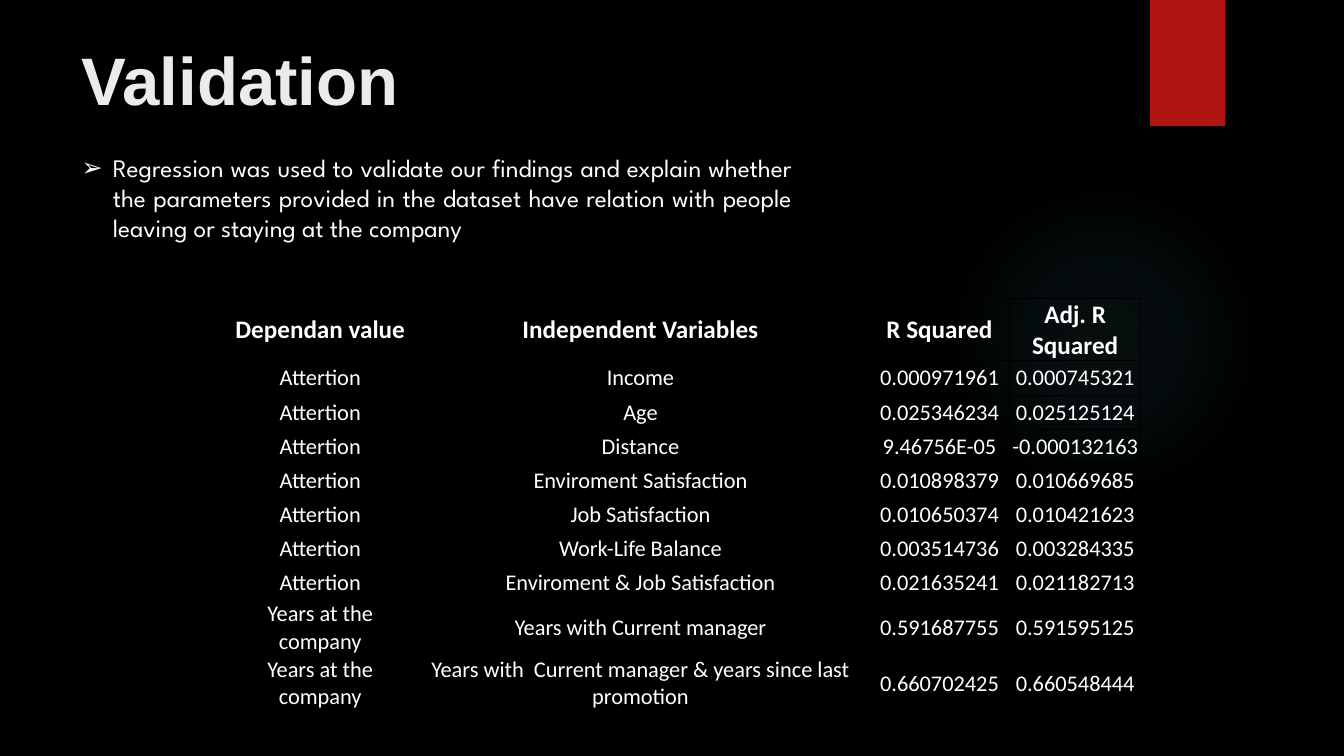
import pptx
import pptx.dml.color
import pptx.enum.shapes
import pptx.enum.text
import pptx.oxml
import pptx.oxml.ns
import pptx.util
from pptx.util import Cm

NAMESPACE = pptx.oxml.ns.nsdecls("a")
ALIGN = pptx.enum.text.PP_ALIGN
ANCHOR = pptx.enum.text.MSO_ANCHOR
SHAPE = pptx.enum.shapes.MSO_SHAPE

HEADINGS = ("Dependan value", "Independent Variables", "R Squared", "Adj. R Squared")
REGRESSIONS = (
    ("Attertion", "Income", "0.000971961", "0.000745321"),
    ("Attertion", "Age", "0.025346234", "0.025125124"),
    ("Attertion", "Distance", "9.46756E-05", "-0.000132163"),
    ("Attertion", "Enviroment Satisfaction", "0.010898379", "0.010669685"),
    ("Attertion", "Job Satisfaction", "0.010650374", "0.010421623"),
    ("Attertion", "Work-Life Balance", "0.003514736", "0.003284335"),
    ("Attertion", "Enviroment & Job Satisfaction", "0.021635241", "0.021182713"),
    ("Years at the company", "Years with Current manager", "0.591687755", "0.591595125"),
    ("Years at the company", "Years with  Current manager & years since last promotion",
     "0.660702425", "0.660548444"),
)
COLUMN_SHARES = (1.81, 4.54, 1.39, 1.3)


def color(hex_text):
    """Turn a hex string into a colour."""
    return pptx.dml.color.RGBColor.from_string(hex_text)


def place(shape, box):
    """Move a shape into a left, top, width, height box."""
    shape.left, shape.top, shape.width, shape.height = box


def add_span(para, text, font, size, hex_text, bold=False):
    """Append one formatted run to a paragraph."""
    span = para.add_run()
    span.text = text
    span.font.name = font
    span.font.size = pptx.util.Pt(size)
    span.font.bold = bold
    span.font.color.rgb = color(hex_text)


def add_glow(page, box):
    """Draw the faint round glow."""
    glow = page.shapes.add_shape(SHAPE.OVAL, *box)
    glow.shadow.inherit = False
    glow.line.fill.background()
    stops = "".join(
        f'<a:gs pos="{position * 1000}"><a:srgbClr val="50B9C1">'
        f'<a:alpha val="{alpha * 1000}"/></a:srgbClr></a:gs>'
        for position, alpha in ((0, 7), (36, 6), (69, 0), (100, 0)))
    gradient = pptx.oxml.parse_xml(
        f'<a:gradFill {NAMESPACE} rotWithShape="1"><a:gsLst>{stops}</a:gsLst>'
        '<a:path path="circle"><a:fillToRect l="50000" t="50000" r="50000" b="50000"/>'
        '</a:path></a:gradFill>')
    glow._element.spPr.find(pptx.oxml.ns.qn("a:prstGeom")).addnext(gradient)


def add_ribbon(page, box):
    """Draw the red ribbon with its soft shadow."""
    ribbon = page.shapes.add_shape(SHAPE.RECTANGLE, *box)
    ribbon.shadow.inherit = False
    ribbon.fill.solid()
    ribbon.fill.fore_color.rgb = color("B01513")
    ribbon.line.fill.background()
    shadow = pptx.oxml.parse_xml(
        f'<a:outerShdw {NAMESPACE} blurRad="38100" dist="25400" dir="5400000" '
        'rotWithShape="0"><a:srgbClr val="000000"><a:alpha val="45000"/></a:srgbClr>'
        '</a:outerShdw>')
    ribbon._element.spPr.find(pptx.oxml.ns.qn("a:effectLst")).append(shadow)


def fill_title(title, box):
    """Place and write the slide title."""
    place(title, box)
    title.text_frame.vertical_anchor = ANCHOR.MIDDLE
    para = title.text_frame.paragraphs[0]
    para.alignment = ALIGN.LEFT
    add_span(para, "Validation", "Arial", 48, "EBEBEB", True)


def fill_body(body, box):
    """Place and write the bulleted explanation."""
    place(body, box)
    body.text_frame.vertical_anchor = ANCHOR.TOP
    para = body.text_frame.paragraphs[0]
    para.alignment = ALIGN.JUSTIFY
    para.space_before = pptx.util.Pt(0)
    add_span(para, "Regression was used to validate our findings and explain whether the "
             "parameters provided in the dataset have relation with people leaving or "
             "staying at the company", "League Spartan", 18, "FFFFFF")
    properties = para._p.get_or_add_pPr()
    properties.set("marL", str(Cm(0.79)))
    properties.set("indent", str(-Cm(0.79)))
    properties.append(pptx.oxml.parse_xml(f'<a:buFont {NAMESPACE} typeface="Arial"/>'))
    properties.append(pptx.oxml.parse_xml(f'<a:buChar {NAMESPACE} char="➢"/>'))


def fill_cell(cell, text, size, bold):
    """Write one centred, clear cell with thin black borders."""
    cell.fill.background()
    cell.vertical_anchor = ANCHOR.MIDDLE
    cell.margin_left = cell.margin_right = cell.margin_top = Cm(0.02)
    cell.margin_bottom = 0
    para = cell.text_frame.paragraphs[0]
    para.alignment = ALIGN.CENTER
    add_span(para, text, "Calibri", size, "FFFFFF", bold)
    properties = cell._tc.get_or_add_tcPr()
    for index, side in enumerate("LRTB"):
        properties.insert(index, pptx.oxml.parse_xml(
            f'<a:ln{side} {NAMESPACE} w="6350"><a:solidFill><a:srgbClr val="000000"/>'
            f'</a:solidFill></a:ln{side}>'))


def add_regression_table(page, box):
    """Build the table of regression results."""
    records = (HEADINGS, *REGRESSIONS)
    table = page.shapes.add_table(len(records), len(HEADINGS), *box).table
    table.horz_banding = False
    for column, share in zip(table.columns, COLUMN_SHARES):
        column.width = int(box[2] * share / sum(COLUMN_SHARES))
    for row_index, record in enumerate(records):
        heading = row_index == 0
        table.rows[row_index].height = Cm(0.86)
        for column_index, text in enumerate(record):
            fill_cell(table.cell(row_index, column_index), text, 18 if heading else 16, heading)


def build_validation_page(deck):
    """Build the validation slide."""
    page = deck.slides.add_slide(deck.slide_layouts[1])
    page.background.fill.solid()
    page.background.fill.fore_color.rgb = color("000000")
    add_glow(page, (Cm(23.9), Cm(4.65), Cm(7.82), Cm(7.82)))
    add_ribbon(page, (Cm(28.98), 0, Cm(1.9), Cm(3.18)))
    fill_title(page.shapes.title, (Cm(1.8), Cm(0.76), Cm(30.91), Cm(2.44)))
    fill_body(page.placeholders[1], (Cm(1.8), Cm(3.71), Cm(18.42), Cm(4.11)))
    add_regression_table(page, (Cm(5.77), Cm(7.52), Cm(22.98), Cm(8.6)))


def main():
    """Create and save the deck."""
    deck = pptx.Presentation()
    deck.slide_width, deck.slide_height = Cm(33.87), Cm(19.05)
    build_validation_page(deck)
    deck.save("out.pptx")


if __name__ == "__main__":
    main()
